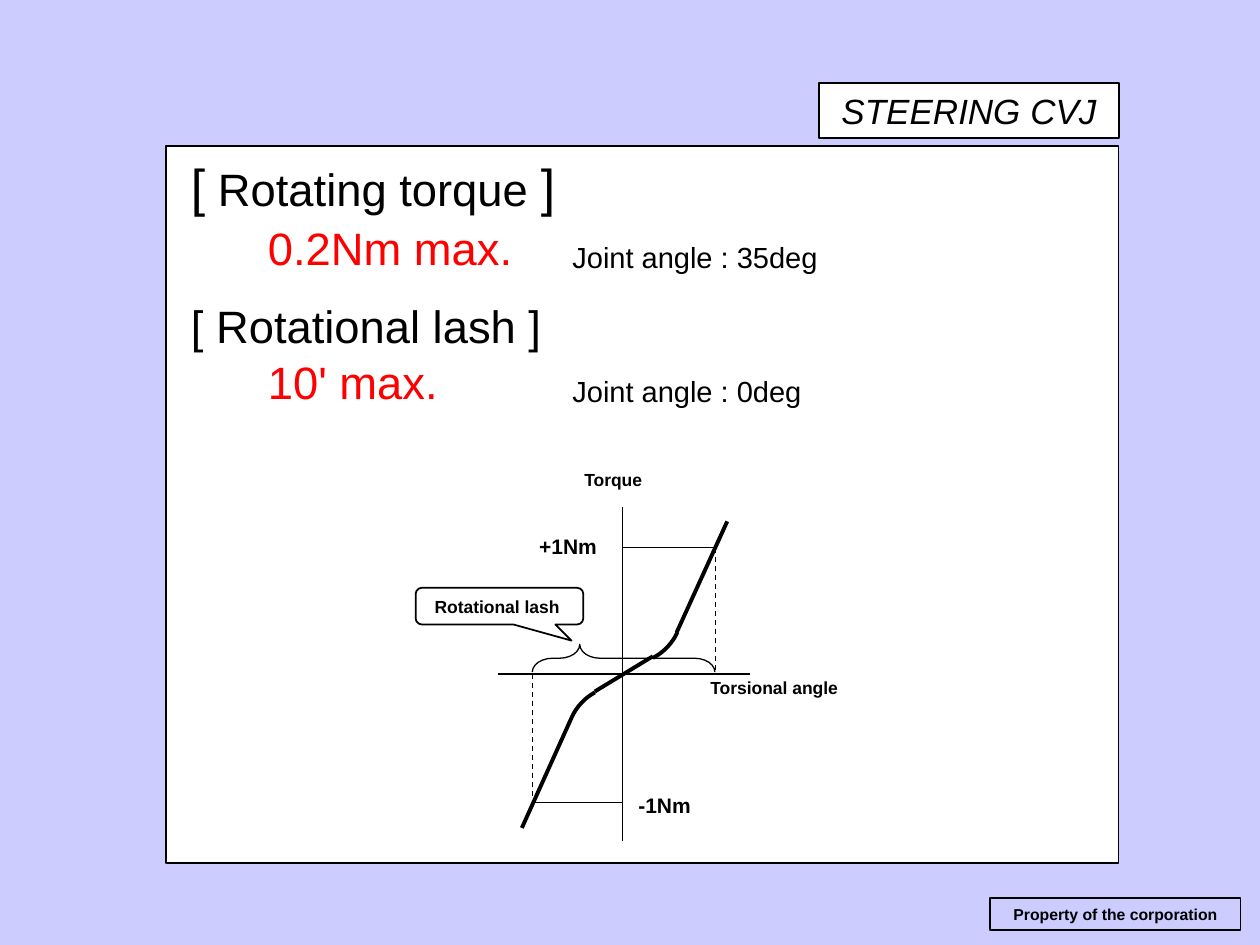
from dataclasses import dataclass

from lxml.etree import SubElement
from pptx import Presentation
from pptx.dml.color import RGBColor
from pptx.enum.dml import MSO_LINE
from pptx.enum.shapes import MSO_CONNECTOR, MSO_SHAPE
from pptx.enum.text import MSO_ANCHOR, MSO_AUTO_SIZE, PP_ALIGN
from pptx.oxml.ns import qn
from pptx.util import Cm, Pt


@dataclass(frozen=True)
class Theme:
    font: str = "Arial"
    background: RGBColor = RGBColor(0xCC, 0xCC, 0xFF)
    panel: RGBColor = RGBColor(0xFF, 0xFF, 0xFF)
    ink: RGBColor = RGBColor(0, 0, 0)
    value: RGBColor = RGBColor(0xFF, 0, 0)
    title_size: float = 20
    bracket_size: float = 29.6
    heading_size: float = 25.9
    condition_size: float = 16.6
    limit_size: float = 12
    label_size: float = 10
    footer_size: float = 9
    outline: float = 1
    thin: float = 0.75
    thick: float = 2.25


theme = Theme()


def write_label(shape, text, size, align=PP_ALIGN.CENTER, bold=True, wrap=False):
    frame = shape.text_frame
    frame.word_wrap = wrap
    frame.auto_size = MSO_AUTO_SIZE.NONE
    frame.vertical_anchor = MSO_ANCHOR.MIDDLE
    paragraph = frame.paragraphs[0]
    paragraph.text = text
    paragraph.alignment = align
    font = paragraph.font
    font.name, font.size, font.bold = theme.font, Pt(size), bold
    font.color.rgb = theme.ink


def outline(shape, width=theme.outline, fill=None):
    """Give a shape a plain black outline and an optional solid fill."""
    if fill is None:
        shape.fill.background()
    else:
        shape.fill.solid()
        shape.fill.fore_color.rgb = fill
    shape.line.color.rgb = theme.ink
    shape.line.width = Pt(width)
    shape.shadow.inherit = False


presentation = Presentation()
presentation.slide_width, presentation.slide_height = Cm(25.4), Cm(19.05)
slide = presentation.slides.add_slide(presentation.slide_layouts[1])
slide.background.fill.solid()
slide.background.fill.fore_color.rgb = theme.background
shapes = slide.shapes
title, body = slide.placeholders

# White panel, placed behind the placeholders
panel = shapes.add_shape(MSO_SHAPE.RECTANGLE, Cm(3.35), Cm(2.95), Cm(19.2), Cm(14.45))
outline(panel, fill=theme.panel)
title.element.addprevious(panel.element)

# Title
title.left, title.top, title.width, title.height = Cm(16.51), Cm(1.67), Cm(6.05), Cm(1.12)
outline(title, fill=theme.panel)
write_label(title, "STEERING CVJ", theme.title_size, bold=False, wrap=True)
title.text_frame.paragraphs[0].font.italic = True

# Specification list: (line spacing, space before, indent, runs of text, size, colour)
heading = (theme.heading_size, theme.ink)
bracket = (theme.bracket_size, theme.ink)
value = (theme.heading_size, theme.value)
value_indent = 1.55
specifications = [
    (0.9, 0, 0, [("[", *bracket), (" Rotating torque ", *heading), ("]", *bracket)]),
    (0.9, 4.5, value_indent, [("0.2Nm max.", *value)]),
    (1.2, 7, 0, [("[ Rotational lash ]", *heading)]),
    (0.9, 4.5, value_indent, [("10' max.", *value)]),
]
body.left, body.top, body.width, body.height = Cm(3.61), Cm(3.15), Cm(18.85), Cm(5.74)
frame = body.text_frame
frame.auto_size = MSO_AUTO_SIZE.NONE
frame.word_wrap = True
frame.vertical_anchor = MSO_ANCHOR.TOP
frame.margin_left, frame.margin_top = Cm(0.24), Cm(0.12)
for index, (spacing, before, indent, runs) in enumerate(specifications):
    paragraph = frame.paragraphs[0] if index == 0 else frame.add_paragraph()
    properties = paragraph._p.get_or_add_pPr()
    properties.set("marL", str(int(Cm(indent))))
    properties.set("indent", "0")
    SubElement(properties, qn("a:buNone"))
    paragraph.line_spacing = spacing
    paragraph.space_before = Pt(before)
    paragraph.font.name = theme.font
    for text, size, colour in runs:
        run = paragraph.add_run()
        run.text = text
        run.font.size = Pt(size)
        run.font.color.rgb = colour

# Test conditions beside the values
for text, middle in (("Joint angle : 35deg", 5.17), ("Joint angle : 0deg", 7.87)):
    condition = shapes.add_textbox(Cm(11.29), Cm(middle - 0.5), Cm(5.6), Cm(1))
    write_label(condition, text, theme.condition_size, PP_ALIGN.LEFT, bold=False)

# Ownership note
footer = shapes.add_shape(MSO_SHAPE.RECTANGLE, Cm(19.96), Cm(18.11), Cm(5.05), Cm(0.64))
outline(footer)
write_label(footer, "Property of the corporation", theme.footer_size)

# Axes, torque limits and the torque curve's straight parts
axis_x, axis_y = 12.55, 13.58
lash_left, lash_right = 10.74, 14.42
limit_top, limit_bottom = 11.04, 16.18
solid, dashed = MSO_LINE.SOLID, MSO_LINE.DASH
lines = [
    (10.03, axis_y, 15.11, axis_y, theme.outline, solid),
    (axis_x, 10.23, axis_x, 16.96, theme.outline, solid),
    (axis_x, limit_top, lash_right, limit_top, theme.outline, solid),
    (lash_left, limit_bottom, axis_x, limit_bottom, theme.outline, solid),
    (lash_right, limit_top, lash_right, axis_y, theme.thin, dashed),
    (lash_left, axis_y, lash_left, limit_bottom, theme.thin, dashed),
    (10.52, 16.69, 11.53, 14.45, theme.thick, solid),
    (11.99, 13.94, 13.16, 13.23, theme.thick, solid),
    (13.64, 12.75, 14.66, 10.51, theme.thick, solid),
]
for x1, y1, x2, y2, width, dash in lines:
    line = shapes.add_connector(MSO_CONNECTOR.STRAIGHT, Cm(x1), Cm(y1), Cm(x2), Cm(y2))
    line.line.color.rgb = theme.ink
    line.line.width = Pt(width)
    line.line.dash_style = dash
    SubElement(line.element.spPr, qn("a:effectLst"))

# Bends of the torque curve: (left, top, start and end angle in degrees)
adjustment_per_degree = 0.6
for left, top, *angles in ((11.61, 13.77, 136, 226), (12.78, 12.09, 316, 49)):
    bend = shapes.add_shape(MSO_SHAPE.ARC, Cm(left), Cm(top), Cm(0.79), Cm(1.35))
    bend.rotation = 42.6
    for index, angle in enumerate(angles):
        bend.adjustments[index] = angle * adjustment_per_degree
    outline(bend, theme.thick)

# Brace across the lash range, with its callout
brace = shapes.add_shape(MSO_SHAPE.LEFT_BRACE, Cm(12.29), Cm(11.43), Cm(0.56), Cm(3.68))
brace.rotation = 90
brace.adjustments[0], brace.adjustments[1] = 0.73, 0.74
outline(brace, theme.thin)

callout = shapes.add_shape(
    MSO_SHAPE.ROUNDED_RECTANGULAR_CALLOUT, Cm(8.38), Cm(11.85), Cm(3.38), Cm(0.74))
for index, adjustment in enumerate((0.43, 0.94, 0.17)):
    callout.adjustments[index] = adjustment
outline(callout)
write_label(callout, "Rotational lash", theme.label_size)
callout.text_frame.margin_right = Cm(0.35)

# Diagram labels
labels = [
    ("Torque", 11.53, 9.33, 1.7, 0.69, theme.label_size),
    ("Torsional angle", 14.07, 13.52, 3.1, 0.69, theme.label_size),
    ("-1Nm", 12.62, 15.85, 1.57, 0.76, theme.limit_size),
    ("+1Nm", 10.62, 10.64, 1.68, 0.76, theme.limit_size),
]
for text, left, top, width, height, size in labels:
    label = shapes.add_textbox(Cm(left), Cm(top), Cm(width), Cm(height))
    write_label(label, text, size, PP_ALIGN.LEFT)

presentation.save("out.pptx")
